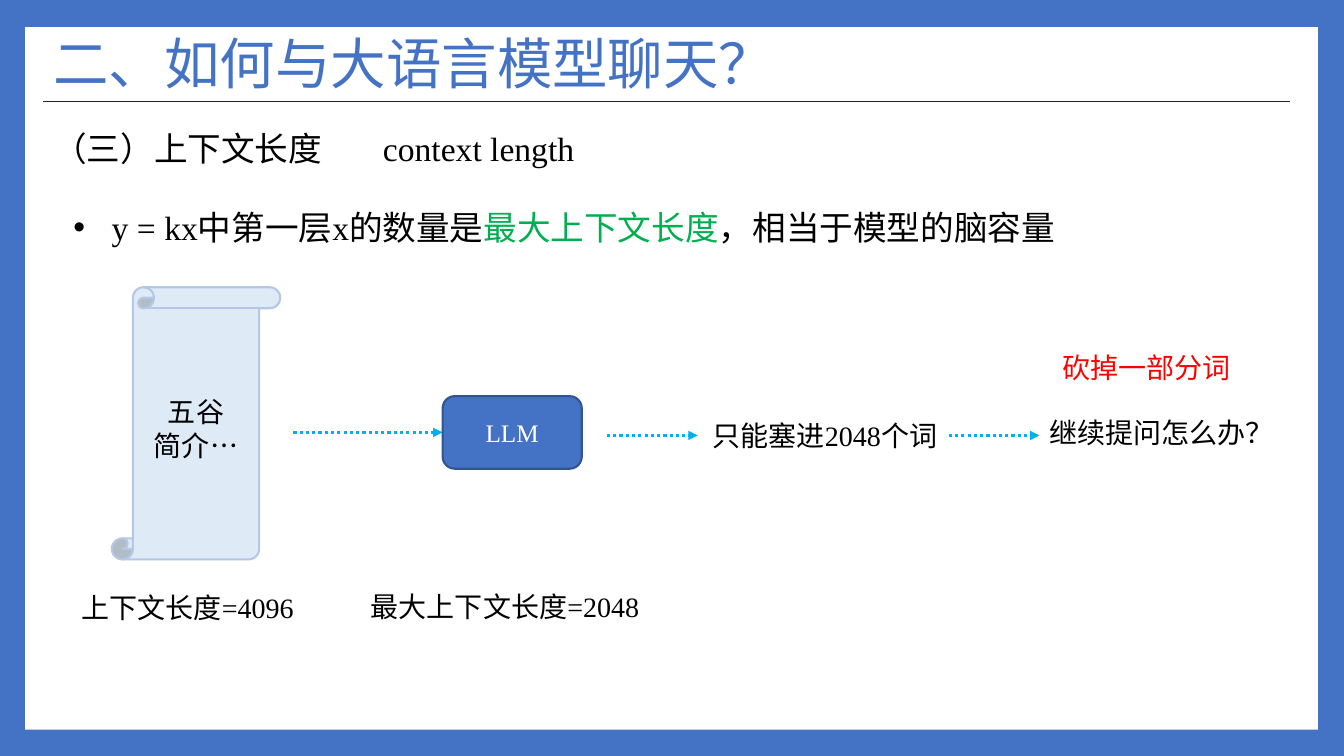
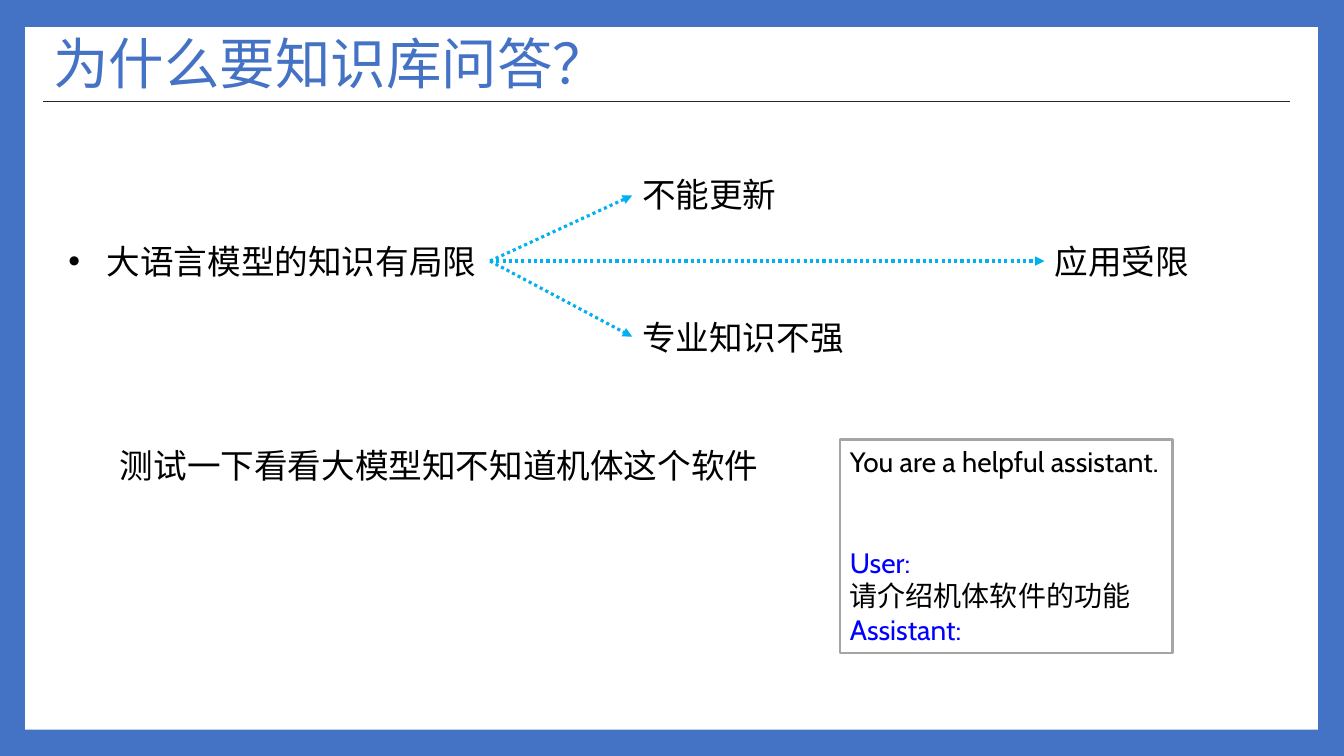
"""Builds two slides on context length and on the limits of model knowledge."""
from lxml import etree
from pptx import Presentation
from pptx.dml.color import RGBColor
from pptx.enum.dml import MSO_LINE
from pptx.enum.shapes import MSO_CONNECTOR, MSO_SHAPE
from pptx.enum.text import MSO_ANCHOR, PP_ALIGN
from pptx.oxml.ns import qn
from pptx.util import Inches, Pt

BLUE = RGBColor(0x44, 0x72, 0xC4)
DARK_BLUE = RGBColor(0x32, 0x54, 0x91)
PALE_BLUE = RGBColor(0xDE, 0xEB, 0xF7)
SOFT_BLUE = RGBColor(0xB4, 0xC7, 0xE7)
SKY = RGBColor(0x00, 0xB0, 0xF0)
ROLE_BLUE = RGBColor(0x00, 0x00, 0xFF)
GREEN = RGBColor(0x00, 0xB0, 0x50)
RED = RGBColor(0xFF, 0x00, 0x00)
GRAY = RGBColor(0xA5, 0xA5, 0xA5)
CHARCOAL = RGBColor(0x26, 0x26, 0x26)
BLACK = RGBColor(0x00, 0x00, 0x00)
WHITE = RGBColor(0xFF, 0xFF, 0xFF)

SANS = "Noto Sans CJK SC"
SERIF = "Times New Roman"
LEFT, CENTER = PP_ALIGN.LEFT, PP_ALIGN.CENTER
TOP, MIDDLE = MSO_ANCHOR.TOP, MSO_ANCHOR.MIDDLE
DOTTED = MSO_LINE.ROUND_DOT
STRAIGHT = MSO_CONNECTOR.STRAIGHT


def write(shape, *paragraphs, size=20, font=SERIF, color=BLACK, align=LEFT,
          anchor=TOP, spacing=None, bullet=False, tab=None):
    """Fill a shape with paragraphs, each a string or a list of (text, colour) runs."""
    frame = shape.text_frame
    frame.word_wrap = True
    frame.vertical_anchor = anchor
    for number, content in enumerate(paragraphs):
        paragraph = frame.add_paragraph() if number else frame.paragraphs[0]
        paragraph.alignment = align
        if spacing:
            paragraph.line_spacing = spacing
        properties = paragraph._p.get_or_add_pPr()
        if bullet:
            properties.set("marL", str(Inches(0.38)))
            properties.set("indent", str(Inches(-0.38)))
            etree.SubElement(properties, qn("a:buFont"), typeface="Arial")
            etree.SubElement(properties, qn("a:buChar"), char="•")
        if tab:
            stops = etree.SubElement(properties, qn("a:tabLst"))
            etree.SubElement(stops, qn("a:tab"), pos=str(Inches(tab)), algn="l")
        runs = [(content, color)] if isinstance(content, str) else content
        for text, run_color in runs:
            run = paragraph.add_run()
            run.text = text
            run.font.size = Pt(size)
            run.font.name = font
            run.font.color.rgb = run_color
            etree.SubElement(run._r.get_or_add_rPr(), qn("a:ea"), typeface=SANS)


def draw_line(slide, start, end, color, width):
    """Draw a straight line without a shadow between two points in inches."""
    line = slide.shapes.add_connector(STRAIGHT, *map(Inches, start + end))
    line.line.color.rgb = color
    line.line.width = Pt(width)
    etree.SubElement(line.element.spPr, qn("a:effectLst"))
    return line


prs = Presentation()
prs.slide_width, prs.slide_height = Inches(13.33), Inches(7.5)
title_only = prs.slide_layouts[5]
background = prs.slide_master.background.fill
background.solid()
background.fore_color.rgb = BLUE
context, knowledge = [prs.slides.add_slide(title_only) for _ in range(2)]

panel = context.shapes.add_shape(
    MSO_SHAPE.RECTANGLE, Inches(0.25), Inches(0.27), Inches(12.82), Inches(6.97))
panel.shadow.inherit = False
panel.fill.solid()
panel.fill.fore_color.rgb = WHITE
panel.line.fill.background()
title_rule = draw_line(context, (0.43, 1.01), (12.79, 1.01), CHARCOAL, 1)
layout_title = title_only.placeholders[0].element
for shape_id, part in enumerate((panel, title_rule), start=20):
    part.element.xpath(".//p:cNvPr")[0].set("id", str(shape_id))
    layout_title.addprevious(part.element)

for slide, heading in ((context, "二、如何与大语言模型聊天？"),
                       (knowledge, "为什么要知识库问答？")):
    title = slide.shapes.title
    title.left, title.top = Inches(0.43), Inches(0.3)
    title.width, title.height = Inches(12.36), Inches(0.72)
    write(title, heading, size=39.6, font=SANS, color=BLUE, anchor=MIDDLE, spacing=0.9)

capacity = [("y = kx中第一层x的数量是", BLACK), ("最大上下文长度", GREEN),
            ("，相当于模型的脑容量", BLACK)]
labels = [
    (context, (0.43, 1.02, 5.51, 0.63), "（三）上下文长度\tcontext length",
     dict(size=24, spacing=1.5, tab=3.27)),
    (context, (0.63, 2, 10.03, 0.5), capacity, dict(size=24, bullet=True)),
    (context, (0.71, 5.81, 2.32, 0.44), "上下文长度=4096", {}),
    (context, (3.58, 5.8, 3, 0.44), "最大上下文长度=2048", {}),
    (context, (6.97, 4.1, 2.54, 0.44), "只能塞进2048个词", {}),
    (context, (10.31, 4.07, 2.45, 0.44), "继续提问怎么办？", {}),
    (context, (10.44, 3.43, 1.88, 0.44), "砍掉一部分词", dict(font=SANS, color=RED)),
    (knowledge, (0.58, 2.34, 4.28, 0.5), "大语言模型的知识有局限",
     dict(size=24, font=SANS, bullet=True)),
    (knowledge, (6.27, 1.68, 2.87, 0.5), "不能更新", dict(size=24)),
    (knowledge, (6.27, 3.09, 2.87, 0.5), "专业知识不强", dict(size=24)),
    (knowledge, (10.36, 2.34, 1.55, 0.5), "应用受限", dict(size=24, font=SANS)),
    (knowledge, (1.09, 4.36, 7.2, 0.5), "测试一下看看大模型知不知道机体这个软件",
     dict(size=24, font=SANS)),
]
for slide, box, text, style in labels:
    write(slide.shapes.add_textbox(*map(Inches, box)), text, **style)

limits = (4.86, 2.59)
arrows = [
    (context, (2.91, 4.29), (4.39, 4.29)),
    (context, (6.02, 4.32), (6.92, 4.32)),
    (context, (9.41, 4.32), (10.31, 4.32)),
    (knowledge, limits, (6.27, 1.94)),
    (knowledge, limits, (10.36, 2.59)),
    (knowledge, limits, (6.27, 3.34)),
]
for slide, start, end in arrows:
    arrow = draw_line(slide, start, end, SKY, 2.25)
    arrow.line.dash_style = DOTTED
    etree.SubElement(arrow.line._get_or_add_ln(), qn("a:tailEnd"), type="triangle")

role_lines = ["You are a helpful assistant.", [("User:", ROLE_BLUE)],
              "请介绍机体软件的功能", [("Assistant:", ROLE_BLUE)]]
blocks = [
    (context, MSO_SHAPE.VERTICAL_SCROLL, (1.11, 2.85, 1.67, 2.7), PALE_BLUE, SOFT_BLUE,
     ["五谷", "简介…"], dict(font=SANS, align=CENTER, anchor=MIDDLE)),
    (context, MSO_SHAPE.ROUNDED_RECTANGLE, (4.39, 3.93, 1.38, 0.72), BLUE, DARK_BLUE,
     ["LLM"], dict(size=18, color=WHITE, align=CENTER, anchor=MIDDLE)),
    (knowledge, MSO_SHAPE.RECTANGLE, (8.33, 4.36, 3.3, 2.12), None, GRAY,
     role_lines, dict(font="Cabin")),
]
for slide, outline, box, fill, border, paragraphs, style in blocks:
    block = slide.shapes.add_shape(outline, *map(Inches, box))
    block.shadow.inherit = False
    if fill:
        block.fill.solid()
        block.fill.fore_color.rgb = fill
    else:
        block.fill.background()
    block.line.color.rgb = border
    block.line.width = Pt(1.5)
    write(block, *paragraphs, **style)

prompt = block
prompt.text_frame.paragraphs[1].space_before = Pt(48)

prs.save("out.pptx")
